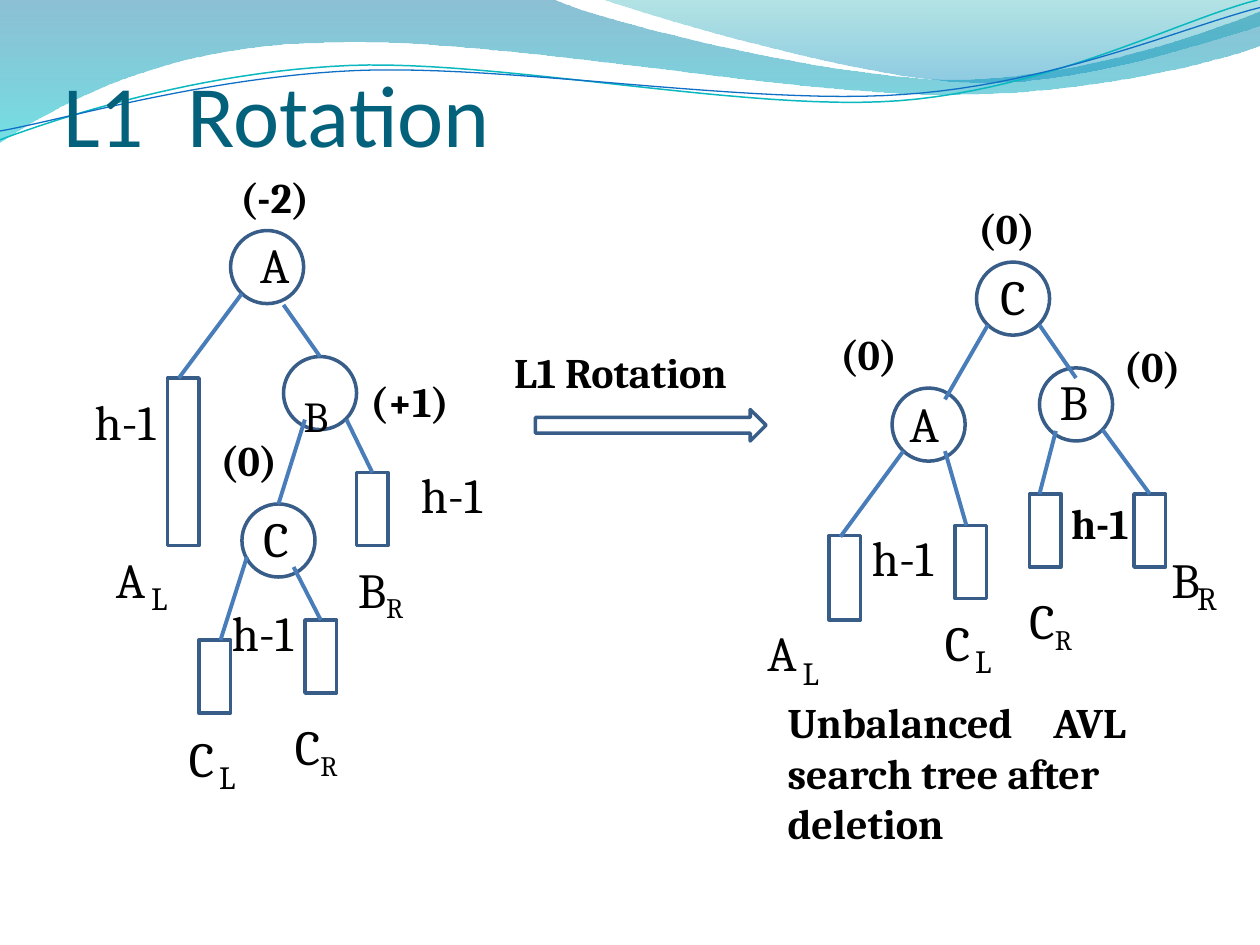
from lxml.etree import SubElement
from pptx import Presentation
from pptx.dml.color import RGBColor
from pptx.enum.shapes import MSO_CONNECTOR, MSO_SHAPE
from pptx.enum.text import MSO_ANCHOR, PP_ALIGN
from pptx.oxml.ns import qn
from pptx.util import Cm, Pt

EDGE, LINK, INK, TEAL = "385D89", "497DBA", "000000", "04617B"
SERIF, SANS = "Cambria", "Calibri"
NODE, BAR = 0.58, 0.25

WAVES = [
    ([(0, 0), (4.4, 0)],
     [(4.76, .17, 6.64, .63, 7.58, .63), (8.53, .63, 9.58, .26, 10, .09)],
     [(10, .36)],
     [(9.83, .44, 8.7, .76, 7.46, .75), (6.22, .75, 3.82, .28, 2.57, .34),
      (1.29, .36, .46, .83, 0, 1.13)],
     [("0074A1", 45), ("00C6CF", 55)]),
    ([(4.79, 0)],
     [(5.09, .11, 6.82, .62, 7.69, .65), (8.56, .69, 9.61, .32, 10, .21)],
     [(10, 0)], [],
     [("00A1A9", 30), ("008BBF", 45)]),
]
CURVES = [
    ((0, 1.11), [(.48, .93, 1.58, .57, 2.77, .52), (3.95, .47, 5.93, .89, 7.13, .8),
                 (8.33, .71, 9.38, .15, 9.98, 0)], "0AB8BF", 0.85),
    ((0, 1.04), [(.47, .96, 1.64, .61, 2.83, .56), (4.03, .51, 5.97, .84, 7.17, .75),
                 (8.36, .67, 9.41, .21, 10, .06)], "0F6FC6", 0.75),
]
NODES = {
    "old A": (1.83, 1.83), "old B": (2.25, 2.83), "old C": (1.92, 4),
    "new A": (7.08, 3.08), "new C": (7.75, 2.08), "new B": (8.25, 2.92),
}
BARS = {
    "old AL": (1.33, 3, 1.33), "old BR": (2.83, 3.75, .58),
    "old CL": (1.58, 5.08, .58), "old CR": (2.42, 4.92, .58),
    "new AL": (6.58, 4.25, .67), "new CL": (7.58, 4.17, .58),
    "new CR": (8.17, 3.92, .58), "new BR": (9, 3.92, .58),
}
LINKS = [
    (1.92, 2.33, 1.42, 3, None), (2.25, 2.42, 2.54, 2.83, "old B"),
    (2.42, 3.33, 2.21, 4, "old C"), (2.75, 3.33, 2.96, 3.75, "old BR"),
    (1.96, 4.42, 1.75, 5.08, None), (2.33, 4.5, 2.54, 4.92, "old CR"),
    (7.84, 2.58, 7.5, 3.17, None), (8.25, 2.58, 8.54, 3, None),
    (7.17, 3.58, 6.67, 4.26, None), (7.5, 3.58, 7.67, 4.17, None),
    (8.38, 3.42, 8.25, 3.92, None), (8.75, 3.41, 9.12, 3.92, "new BR"),
]
KINDS = {28: (.49, .01), 24: (.43, .01), 18.5: (.34, .02)}
WORDS = [
    ("A", 28, .92, 4.35, .31), ("L", 18.5, 1.2, 4.57, .17),
    ("h-1", 28, 3.34, 3.68, .59), ("C", 28, 1.5, 5.77, .26),
    ("L", 18.5, 1.74, 5.99, .17), ("L1 Rotation", 24, 4.08, 2.74, 2.08),
    ("h-1", 28, .75, 3.1, .59), ("h-1", 28, 1.84, 4.77, .59),
    ("(0)", 24, 6.67, 2.6, .48), ("A", 28, 7.22, 3.11, .31),
    ("B", 28, 8.41, 2.94, .27), ("C", 28, 7.5, 4.85, .26),
    ("L", 18.5, 7.74, 5.07, .17), ("R", 18.5, 9.5, 4.57, .19),
    ("(0)", 24, 8.92, 2.69, .48), ("A", 28, 6.09, 4.93, .31),
    ("L", 18.5, 6.37, 5.16, .17), ("h-1", 28, 6.92, 4.18, .59),
]
SUBS = [("B", 2.84, 4.43, .44, .49), ("C", 2.34, 5.68, .42, .8), ("C", 8.17, 4.68, .42, .8)]
MID, LEFT, RIGHT = PP_ALIGN.CENTER, PP_ALIGN.LEFT, PP_ALIGN.RIGHT
STACKS = [
    ((1.84, 1.26, .68, 1.09), .1, "(-2)", MID, "A", MID, 0, 7.5),
    ((1.75, 3.28, .59, 1.24), .17, "(0)", LEFT, "C", LEFT, .34, 13.6),
    ((7.75, 1.51, .48, 1.09), .1, "(0)", MID, "C", MID, .1, 7.5),
    ((8.5, 3.94, 1.02, .91), .01, "h-1", LEFT, "B", RIGHT, 0, .9),
]

deck = Presentation()
deck.slide_width, deck.slide_height = Cm(25.4), Cm(19.05)
slide = deck.slides.add_slide(deck.slide_layouts[6])
shapes = slide.shapes


def cm(*vals):
    return [Cm(v * 2.54) for v in vals]


def tint(text):
    return RGBColor.from_string(text)


def bend(start, curves, steps=24):
    dots = []
    for a, b, c, d, x, y in curves:
        for n in range(1, steps + 1):
            t = n / steps
            u = 1 - t
            dots.append(tuple(
                u**3 * p + 3 * u * u * t * q + 3 * u * t * t * r + t**3 * s
                for p, q, r, s in zip(start, (a, b), (c, d), (x, y))))
        start = (x, y)
    return dots


def trace(dots, close):
    pts = [cm(*dot) for dot in dots]
    pen = shapes.build_freeform(*pts[0])
    pen.add_line_segments(pts[1:], close=close)
    shape = pen.convert_to_shape()
    shape.shadow.inherit = False
    return shape


def fade(shape, stops):
    shape.line.fill.background()
    shape.fill.gradient()
    shape.fill.gradient_angle = 270
    for stop, (hue, part) in zip(shape.fill.gradient_stops, stops):
        stop.color.rgb = tint(hue)
    for node, (hue, part) in zip(shape._element.spPr.iter(qn("a:srgbClr")), stops):
        SubElement(node, qn("a:alpha"), val=str(part * 1000))


def stroke(line, hue, width):
    line.color.rgb = tint(hue)
    line.width = Pt(width)


def outline(kind, x, y, w, h):
    shape = shapes.add_shape(kind, *cm(x, y, w, h))
    shape.shadow.inherit = False
    shape.fill.background()
    stroke(shape.line, EDGE, 2)
    return shape


def frame(x, y, w, h, top=.01):
    text = shapes.add_textbox(*cm(x, y, w, h)).text_frame
    text.word_wrap = True
    text.margin_left = text.margin_right = text.margin_bottom = 0
    text.margin_top = cm(top)[0]
    return text


def write(para, runs, size, bold=False, tab=None, face=SERIF, hue=INK):
    if tab:
        tabs = SubElement(para._p.get_or_add_pPr(), qn("a:tabLst"))
        SubElement(tabs, qn("a:tab"), pos=str(cm(tab)[0]), algn="l")
    font = para.font
    font.name, font.size, font.bold = face, Pt(size), bold
    font.color.rgb = tint(hue)
    for words in runs:
        para.add_run().text = words
    return para.runs


def lower(run, size):
    run.font.size = Pt(size)
    run._r.get_or_add_rPr().set("baseline", "-21000")


for head, out, turn, back, stops in WAVES:
    dots = head + bend(head[-1], out) + turn
    fade(trace(dots + bend(dots[-1], back), True), stops)
for start, curves, hue, width in CURVES:
    shape = trace([start] + bend(start, curves), False)
    shape.fill.background()
    stroke(shape.line, hue, width)

title = frame(.5, .45, 6.21, .86)
title.vertical_anchor = MSO_ANCHOR.BOTTOM
write(title.paragraphs[0], ["L1\tRotation"], 50, tab=.99, face=SANS, hue=TEAL)

parts = {}
for name, (x, y) in NODES.items():
    parts[name] = outline(MSO_SHAPE.OVAL, x, y, NODE, NODE)
for name, (x, y, h) in BARS.items():
    parts[name] = outline(MSO_SHAPE.RECTANGLE, x, y, BAR, h)
outline(MSO_SHAPE.RIGHT_ARROW, 4.25, 3.25, 1.83, .25)

for *ends, goal in LINKS:
    link = shapes.add_connector(MSO_CONNECTOR.STRAIGHT, *cm(*ends))
    if goal:
        link.end_connect(parts[goal], 0)
    stroke(link.line, LINK, 2.25)
    SubElement(link._element.spPr, qn("a:effectLst"))

for words, size, x, y, w in WORDS:
    h, top = KINDS[size]
    write(frame(x, y, w, h, top).paragraphs[0], [words], size, size == 24)

for words, *box in SUBS:
    runs = write(frame(*box).paragraphs[0], [words, "R"], 28)
    lower(runs[1], 27.8)

for box, top, mark, side, name, edge, dent, gap in STACKS:
    text = frame(*box, top)
    first, last = text.paragraphs[0], text.add_paragraph()
    first.alignment, last.alignment = side, edge
    last.space_before = Pt(gap)
    if dent:
        last._p.get_or_add_pPr().set("marL", str(cm(dent)[0]))
    write(first, [mark], 24, True)
    write(last, [name], 28)

runs = write(frame(2.41, 2.72, 1.19, .49).paragraphs[0], ["B\t", "(+1)"], 24, tab=.53)
lower(runs[0], 42)
runs[1].font.bold = True

note = frame(6.25, 5.52, 2.92, 1.23)
write(note.paragraphs[0], ["Unbalanced\tAVL search tree after deletion"], 24, True, tab=2.11)

deck.save("out.pptx")
